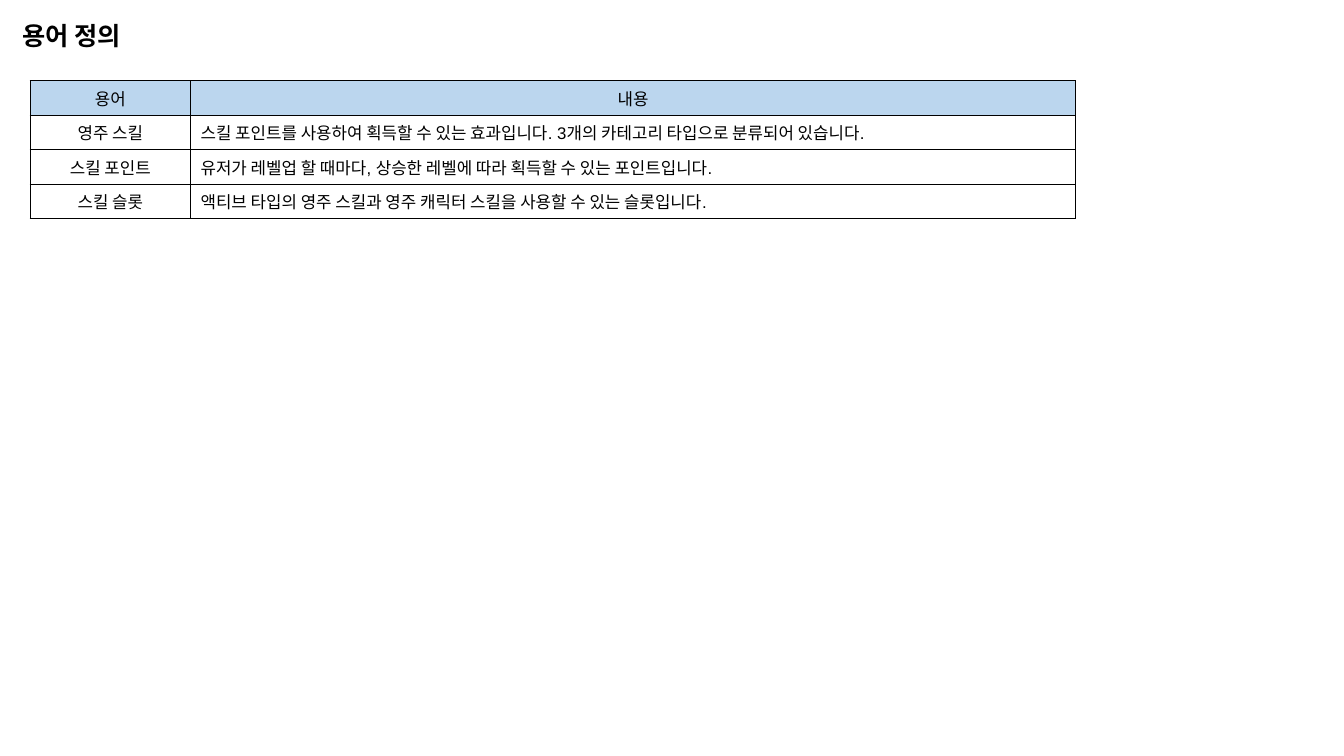
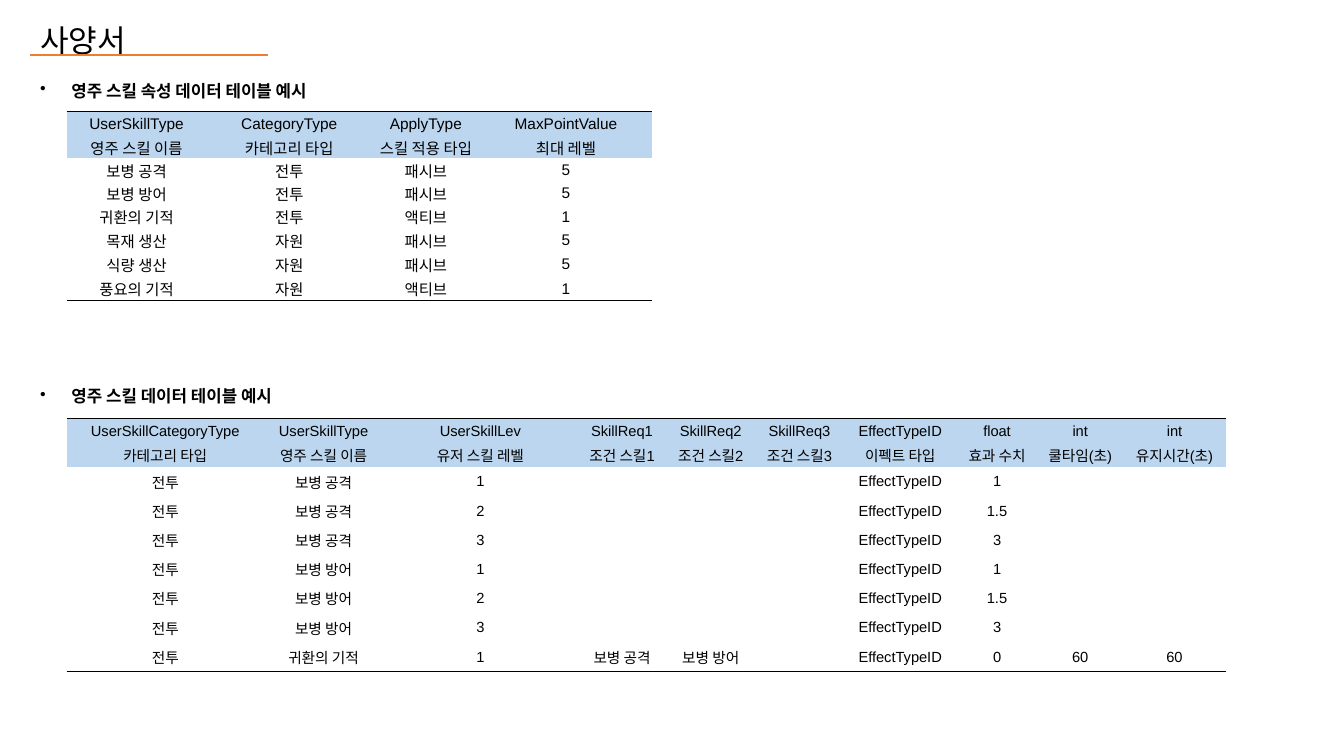
from lxml.etree import SubElement as Sub
from pptx import Presentation as Deck
from pptx.dml.color import RGBColor
from pptx.enum.shapes import MSO_CONNECTOR as Link
from pptx.enum.text import MSO_ANCHOR as Anchor, MSO_AUTO_SIZE as Fit, PP_ALIGN as Align
from pptx.oxml.ns import qn
from pptx.util import Inches, Pt

TERMS = [
    ["용어", "내용"],
    ["영주 스킬", "스킬 포인트를 사용하여 획득할 수 있는 효과입니다. 3개의 카테고리 타입으로 분류되어 있습니다."],
    ["스킬 포인트", "유저가 레벨업 할 때마다, 상승한 레벨에 따라 획득할 수 있는 포인트입니다."],
    ["스킬 슬롯", "액티브 타입의 영주 스킬과 영주 캐릭터 스킬을 사용할 수 있는 슬롯입니다."],
]
TRAITS = [
    ["UserSkillType", "CategoryType", "ApplyType", "MaxPointValue"],
    ["영주 스킬 이름", "카테고리 타입", "스킬 적용 타입", "최대 레벨"],
    ["보병 공격", "전투", "패시브", "5"],
    ["보병 방어", "전투", "패시브", "5"],
    ["귀환의 기적", "전투", "액티브", "1"],
    ["목재 생산", "자원", "패시브", "5"],
    ["식량 생산", "자원", "패시브", "5"],
    ["풍요의 기적", "자원", "액티브", "1"],
]
EFFECT = "EffectTypeID"
LEVELS = [("1", "1"), ("2", "1.5"), ("3", "3")]
SKILLS = [
    ["UserSkillCategoryType", "UserSkillType", "UserSkillLev", "SkillReq1", "SkillReq2",
     "SkillReq3", EFFECT, "float", "int", "int"],
    ["카테고리 타입", "영주 스킬 이름", "유저 스킬 레벨", "조건 스킬1", "조건 스킬2",
     "조건 스킬3", "이펙트 타입", "효과 수치", "쿨타임(초)", "유지시간(초)"],
    *[["전투", skill, level, "", "", "", EFFECT, value, "", ""]
      for skill in ("보병 공격", "보병 방어") for level, value in LEVELS],
    ["전투", "귀환의 기적", "1", "보병 공격", "보병 방어", "", EFFECT, "0", "60", "60"],
]


def color(code):
    """Turn a hex string into a colour."""
    return RGBColor.from_string(code)


class Sheet:
    """Hold the shared style and the current slide."""

    FONT, INK, HEAD, RULE = "Arial", "000000", "BBD6EE", "ED7D31"

    def __init__(self):
        """Start an empty wide deck."""
        self.deck = Deck()
        self.deck.slide_width, self.deck.slide_height = Inches(13.33), Inches(7.5)

    def style(self, para, size, bold=False, align=Align.LEFT, space=None):
        """Format one paragraph."""
        font = para.font
        font.name, font.size, font.bold = self.FONT, Pt(size), bold
        font.color.rgb = color(self.INK)
        para.alignment = align
        if space:
            para.line_spacing = space

    def page(self, title, box, size, bold=False, space=None):
        """Add a slide with its title."""
        self.slide = self.deck.slides.add_slide(self.deck.slide_layouts[5])
        shape = self.slide.shapes.title
        shape.left, shape.top, shape.width, shape.height = map(Inches, box)
        frame = shape.text_frame
        frame.text, frame.word_wrap = title, True
        frame.auto_size, frame.vertical_anchor = Fit.NONE, Anchor.TOP
        self.style(frame.paragraphs[0], size, bold, space=space)

    def rule(self, left, right, top):
        """Draw a level accent line."""
        line = self.slide.shapes.add_connector(
            Link.STRAIGHT, Inches(left), Inches(top), Inches(right), Inches(top))
        line.line.color.rgb = color(self.RULE)
        line.line.width = Pt(1.5)
        Sub(line._element.spPr, qn("a:effectLst"))

    def bullet(self, text, top):
        """Add a bold bulleted heading."""
        box = self.slide.shapes.add_textbox(
            Inches(0.3), Inches(top), Inches(5.09), Inches(0.4))
        box.text_frame.word_wrap = True
        para = box.text_frame.paragraphs[0]
        para.text = text
        props = para._p.get_or_add_pPr()
        props.set("marL", str(Inches(0.31)))
        props.set("indent", str(Inches(-0.31)))
        Sub(Sub(props, qn("a:buClr")), qn("a:srgbClr"), val=self.INK)
        Sub(props, qn("a:buChar"), char="•")
        self.style(para, 12, True, space=1.5)

    def edges(self, cell, sides):
        """Draw the named sides of a cell and clear the others."""
        props = cell._tc.get_or_add_tcPr()
        for side in "LRTB":
            line = Sub(props, qn(f"a:ln{side}"), w=str(Pt(1)))
            if side in sides:
                Sub(Sub(line, qn("a:solidFill")), qn("a:srgbClr"), val=self.INK)
            else:
                Sub(line, qn("a:noFill"))

    def table(self, rows, left, top, widths, heights, size, heads=2, grid=False):
        """Add a table, either fully ruled or ruled at top and bottom."""
        shape = self.slide.shapes.add_table(
            len(rows), len(widths), Inches(left), Inches(top),
            Inches(sum(widths)), Inches(sum(heights)))
        table = shape.table
        table.first_row = table.horz_banding = False
        for col, width in zip(table.columns, widths):
            col.width = Inches(width)
        for r, (row, height) in enumerate(zip(rows, heights)):
            table.rows[r].height = Inches(height)
            for c, text in enumerate(row):
                cell = table.cell(r, c)
                cell.text, cell.vertical_anchor = text, Anchor.MIDDLE
                if not grid:
                    cell.margin_left = cell.margin_right = cell.margin_top = Inches(0.01)
                    cell.margin_bottom = 0
                ends = "T" * (r == 0) + "B" * (r == len(rows) - 1)
                self.edges(cell, "LRTB" if grid else ends)
                if r < heads:
                    cell.fill.solid()
                    cell.fill.fore_color.rgb = color(self.HEAD)
                else:
                    cell.fill.background()
                prose = grid and r >= heads and c > 0
                self.style(cell.text_frame.paragraphs[0], size,
                           align=Align.LEFT if prose else Align.CENTER)


def main():
    """Build both slides and save the deck."""
    sheet = Sheet()
    sheet.page("용어 정의", (0.12, 0.15, 2.7, 0.4), 18, bold=True)
    sheet.table(TERMS, 0.3, 0.8, [1.59, 8.78], [0.34] * 4, 12, heads=1, grid=True)

    sheet.page("사양서", (0.3, 0.01, 6.49, 0.64), 22.2, space=1.4)
    sheet.rule(0.3, 2.66, 0.55)
    sheet.bullet("영주 스킬 속성 데이터 테이블 예시", 0.65)
    sheet.table(TRAITS, 0.66, 1.11, [1.39, 1.64, 1.07, 1.71],
                [0.23] * 5 + [0.24] * 3, 11)
    sheet.bullet("영주 스킬 데이터 테이블 예시", 3.68)
    sheet.table(SKILLS, 0.66, 4.15,
                [1.96, 1.18, 1.93, 0.88, 0.88, 0.88, 1.12, 0.8, 0.85, 1.02],
                [0.24] * 2 + [0.29] * 7, 10.5)
    sheet.deck.save("out.pptx")


if __name__ == "__main__":
    main()
